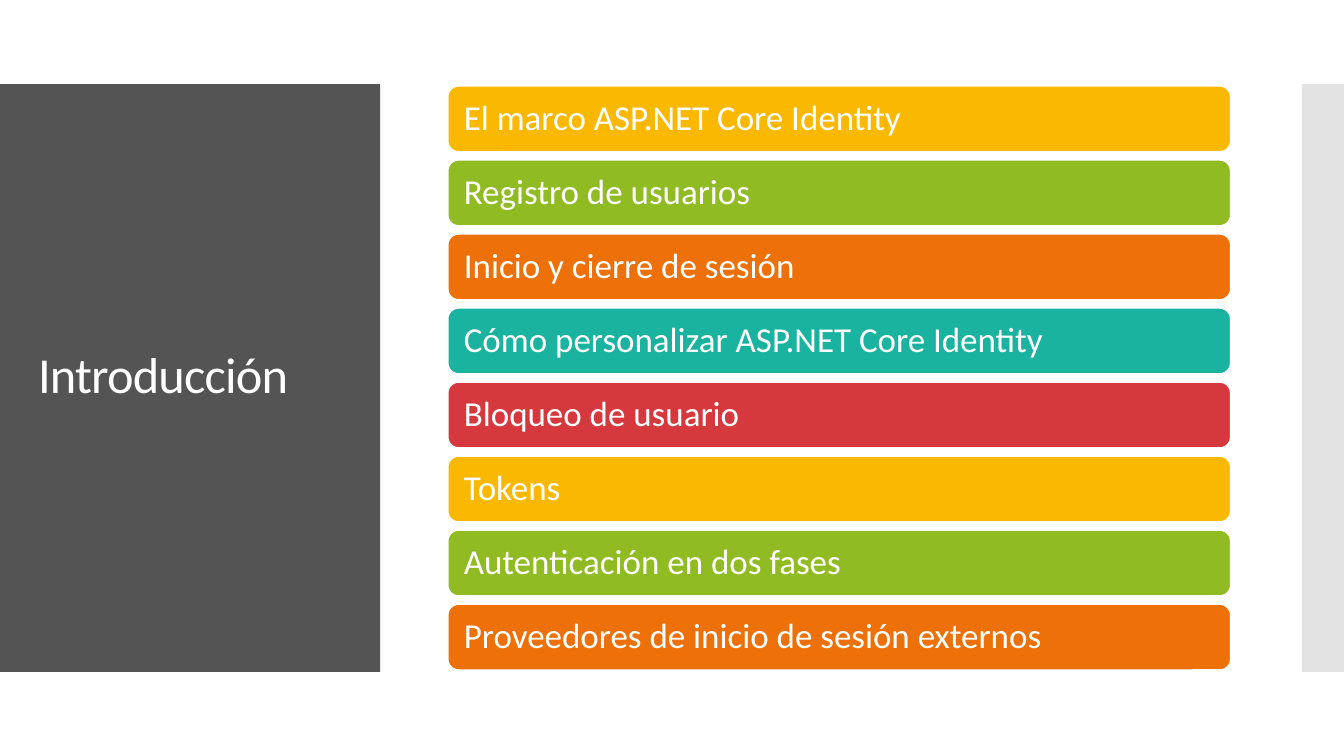
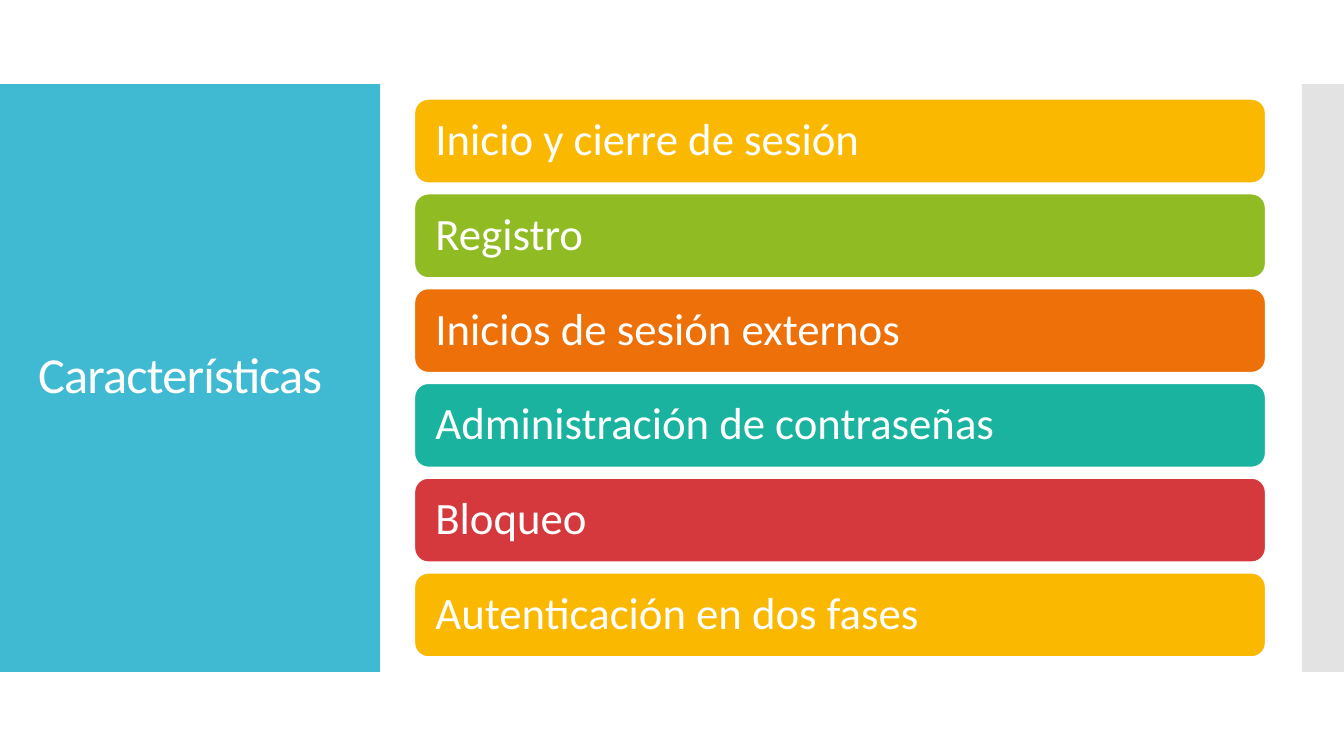
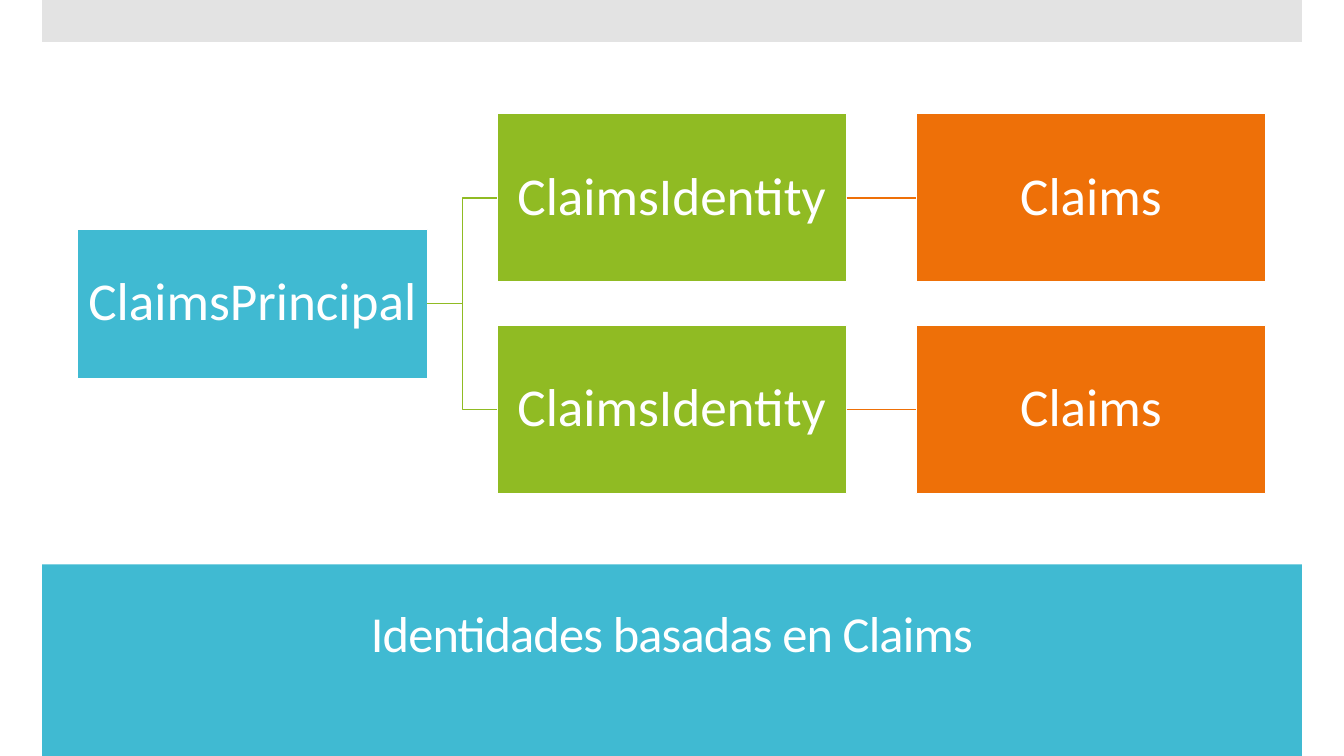
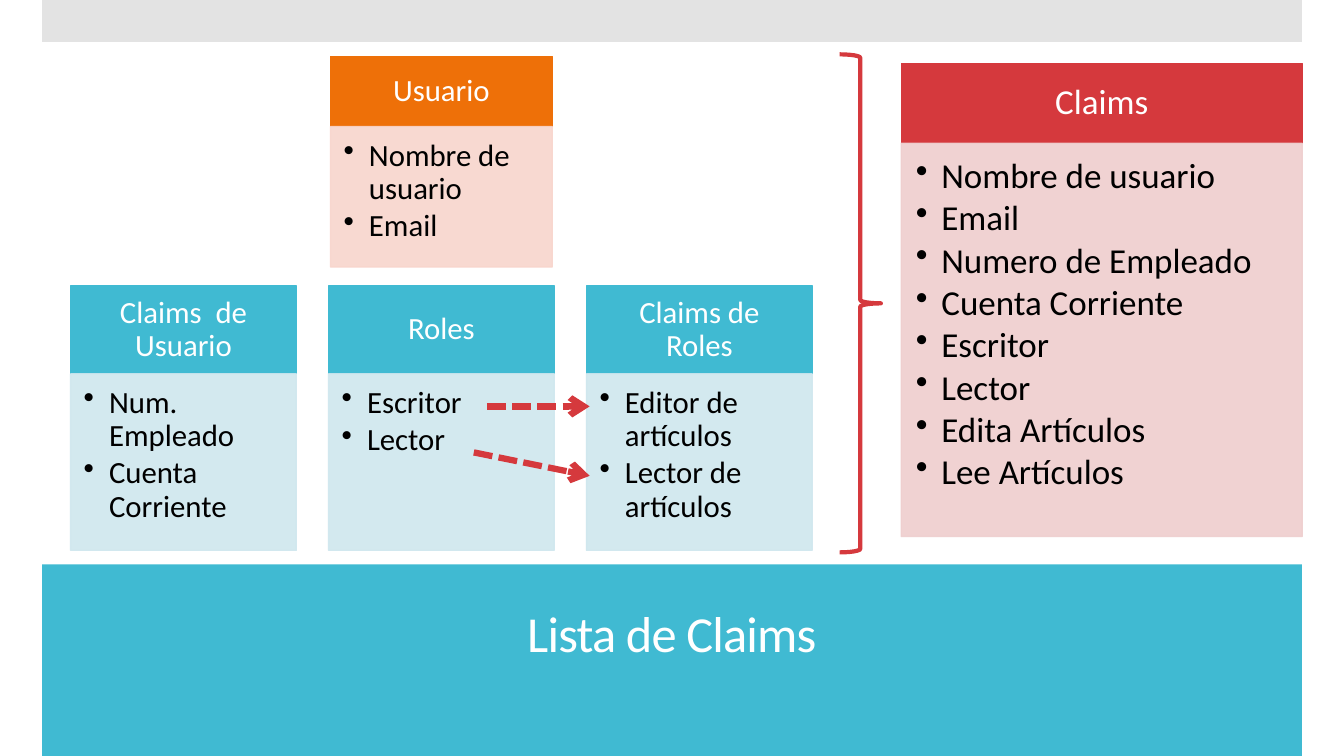
"""Build four slides about user identity: two topic lists and two claim diagrams."""
from dataclasses import dataclass

from lxml.etree import SubElement
from pptx import Presentation
from pptx.dml.color import RGBColor
from pptx.enum.dml import MSO_LINE
from pptx.enum.shapes import MSO_CONNECTOR, MSO_SHAPE
from pptx.enum.text import MSO_ANCHOR, MSO_AUTO_SIZE, PP_ALIGN
from pptx.oxml.ns import qn
from pptx.shapes.autoshape import Shape
from pptx.shapes.connector import Connector
from pptx.slide import Slide
from pptx.text.text import TextFrame
from pptx.util import Cm, Pt

RECT = MSO_SHAPE.RECTANGLE
ROUND = MSO_SHAPE.ROUNDED_RECTANGLE
BRACE = MSO_SHAPE.RIGHT_BRACE
LINE = MSO_CONNECTOR.STRAIGHT
ELBOW = MSO_CONNECTOR.ELBOW
DASH = MSO_LINE.SQUARE_DOT
LEFT, MID = PP_ALIGN.LEFT, PP_ALIGN.CENTER
TOP, CORE = MSO_ANCHOR.TOP, MSO_ANCHOR.MIDDLE
FIXED = MSO_AUTO_SIZE.NONE
ON_LEFT, ON_RIGHT = 1, 3

FONT = "Calibri"
WIDE, HIGH = 33.87, 19.05
HEX = {
    "white": "FFFFFF", "black": "000000", "dark": "545454", "gray": "C8C8C8",
    "blue": "40BAD2", "gold": "FAB900", "green": "90BB23", "orange": "EE7008",
    "teal": "1AB39F", "red": "D5393D",
    "pale blue": "CFE7EE", "pale orange": "F8D5CC", "pale red": "EFCECE",
}
CYCLE = ("gold", "green", "orange", "teal", "red")


@dataclass(frozen=True)
class Box:
    x: float
    y: float
    w: float
    h: float


@dataclass(frozen=True)
class Frame:
    band: Box
    edge: Box
    title: Box
    align: PP_ALIGN


@dataclass(frozen=True)
class Stack:
    area: Box
    bar: float
    size: int
    pad: float
    items: tuple[str, ...]


@dataclass(frozen=True)
class Card:
    area: Box
    head: float
    name: str
    items: tuple[str, ...]
    hue: str
    size: int = 22


SIDE = Frame(Box(0, 2.12, 9.58, 14.81), Box(32.81, 2.12, 1.06, 14.81),
             Box(0.71, 3.12, 8.18, 12.78), LEFT)
BASE = Frame(Box(1.06, 14.22, 31.75, 4.83), Box(1.06, 0, 31.75, 1.06),
             Box(1.78, 14.6, 30.3, 2.84), MID)

TOPICS = Stack(Box(11.28, 2.16, 19.74, 14.73), 1.67, 25, 0.33, (
    "El marco ASP.NET Core Identity", "Registro de usuarios",
    "Inicio y cierre de sesión", "Cómo personalizar ASP.NET Core Identity",
    "Bloqueo de usuario", "Tokens", "Autenticación en dos fases",
    "Proveedores de inicio de sesión externos"))
TRAITS = Stack(Box(10.44, 2.49, 21.46, 14.07), 2.13, 32, 0.43, (
    "Inicio y cierre de sesión", "Registro", "Inicios de sesión externos",
    "Administración de contraseñas", "Bloqueo", "Autenticación en dos fases"))

TRIO = (
    ("Claims  de Usuario", ("Num. Empleado", "Cuenta Corriente")),
    ("Roles", ("Escritor", "Lector")),
    ("Claims de Roles", ("Editor de artículos", "Lector de artículos")),
)
CARDS = (
    Card(Box(8.33, 1.42, 5.59, 5.31), 1.77, "Usuario",
         ("Nombre de usuario", "Email"), "orange"),
    *(Card(Box(1.78 + 6.5 * i, 7.21, 5.69, 6.66), 2.21, name, items, "blue")
      for i, (name, items) in enumerate(TRIO)),
    Card(Box(22.71, 1.6, 10.11, 11.92), 2.01, "Claims", (
        "Nombre de usuario", "Email", "Numero de Empleado", "Cuenta Corriente",
        "Escritor", "Lector", "Edita Artículos", "Lee Artículos"), "red", 25),
)
ARROWS = ((12.27, 10.24, 14.86, 10.24), (11.94, 11.4, 14.86, 11.99))


def color(name: str) -> RGBColor:
    return RGBColor.from_string(HEX[name])


def shape(slide: Slide, kind: MSO_SHAPE, box: Box, fill: str = "", line: str = "",
          thick: float = 0.85, alpha: int = 100) -> Shape:
    item = slide.shapes.add_shape(kind, Cm(box.x), Cm(box.y), Cm(box.w), Cm(box.h))
    item.shadow.inherit = False
    if fill:
        item.fill.solid()
        item.fill.fore_color.rgb = color(fill)
    else:
        item.fill.background()
    if line:
        item.line.color.rgb = color(line)
        item.line.width = Pt(thick)
    else:
        item.line.fill.background()
    if alpha < 100:
        for node in item._element.spPr.iter(qn("a:srgbClr")):
            SubElement(node, qn("a:alpha"), val=str(alpha * 1000))
    return item


def write(frame: TextFrame, lines: tuple[str, ...], size: int, hue: str = "white",
          align: PP_ALIGN = MID, anchor: MSO_ANCHOR = CORE,
          pads: tuple[float, ...] = (0.25, 0.13, 0.25, 0.13),
          dots: bool = False, track: int = 0) -> None:
    frame.word_wrap = True
    frame.auto_size = FIXED
    frame.vertical_anchor = anchor
    (frame.margin_left, frame.margin_top,
     frame.margin_right, frame.margin_bottom) = map(Cm, pads)
    for i, line in enumerate(lines):
        para = frame.add_paragraph() if i else frame.paragraphs[0]
        para.alignment = align
        para.line_spacing = 0.9
        if dots:
            para.space_after = Pt(0.13 * size)
            props = para._p.get_or_add_pPr()
            props.set("marL", str(Cm(0.64)))
            props.set("indent", str(Cm(-0.64)))
            SubElement(props, qn("a:buChar"), char="•")
        run = para.add_run()
        run.text = line
        run.font.name = FONT
        run.font.size = Pt(size)
        run.font.color.rgb = color(hue)
        if track:
            run._r.get_or_add_rPr().set("spc", str(track))


def start(deck: Presentation, frame: Frame, name: str, hue: str = "blue") -> Slide:
    slide = deck.slides.add_slide(deck.slide_layouts.get_by_name("Title Only"))
    shape(slide, RECT, frame.band, hue)
    shape(slide, RECT, frame.edge, "gray", alpha=50)
    title, box = slide.shapes.title, frame.title
    title.left, title.top = Cm(box.x), Cm(box.y)
    title.width, title.height = Cm(box.w), Cm(box.h)
    write(title.text_frame, (name,), 36, align=frame.align, track=-60)
    slide.shapes._spTree.append(title._element)
    return slide


def stack(slide: Slide, data: Stack) -> None:
    area = data.area
    step = (area.h - data.bar) / (len(data.items) - 1)
    for i, item in enumerate(data.items):
        box = Box(area.x, area.y + i * step, area.w, data.bar)
        bar = shape(slide, ROUND, box, CYCLE[i % len(CYCLE)], "white", 1.35)
        write(bar.text_frame, (item,), data.size, align=LEFT, pads=(data.pad,) * 4)


def link(slide: Slide, kind: MSO_CONNECTOR, ends: tuple[float, ...],
         hue: str, thick: float) -> Connector:
    wire = slide.shapes.add_connector(kind, *map(Cm, ends))
    wire.line.color.rgb = color(hue)
    wire.line.width = Pt(thick)
    SubElement(wire._element.spPr, qn("a:effectLst"))
    return wire


def join(slide: Slide, kind: MSO_CONNECTOR, one: Shape, two: Shape, hue: str) -> None:
    wire = link(slide, kind, (0, 0, 0, 0), hue, 0.85)
    wire.begin_connect(one, ON_RIGHT)
    wire.end_connect(two, ON_LEFT)


def node(slide: Slide, col: int, mid: float, high: float, name: str, hue: str) -> Shape:
    box = Box(1.96 + 10.565 * col, mid - high / 2, 8.81, high)
    item = shape(slide, RECT, box, hue, "white")
    write(item.text_frame, (name,), 38, pads=(0.08,) * 4)
    return item


def tree(slide: Slide) -> None:
    rows = (4.99, 10.32)
    root = node(slide, 0, sum(rows) / 2, 3.76, "ClaimsPrincipal", "blue")
    for mid in rows:
        part = node(slide, 1, mid, 4.24, "ClaimsIdentity", "green")
        leaf = node(slide, 2, mid, 4.24, "Claims", "orange")
        join(slide, ELBOW, root, part, "green")
        join(slide, LINE, part, leaf, "orange")


def card(slide: Slide, data: Card) -> None:
    area, size = data.area, data.size
    top = Box(area.x, area.y, area.w, data.head)
    low = Box(area.x, area.y + data.head, area.w, area.h - data.head)
    pale = f"pale {data.hue}"
    near, far, foot = 0.015 * size, 0.02 * size, 0.022 * size
    head = shape(slide, RECT, top, data.hue, data.hue)
    write(head.text_frame, (data.name,), size, pads=(far, foot / 2, far, foot / 2))
    body = shape(slide, RECT, low, pale, pale, alpha=90)
    write(body.text_frame, data.items, size, "black", LEFT, TOP,
          (near, near, far, foot), dots=True)


def arrow(slide: Slide, ends: tuple[float, ...]) -> None:
    wire = link(slide, LINE, ends, "red", 4.5)
    wire.line.dash_style = DASH
    SubElement(wire._element.spPr.find(qn("a:ln")), qn("a:tailEnd"), type="arrow")


def main() -> None:
    deck = Presentation()
    deck.slide_width, deck.slide_height = Cm(WIDE), Cm(HIGH)
    stack(start(deck, SIDE, "Introducción", "dark"), TOPICS)
    stack(start(deck, SIDE, "Características"), TRAITS)
    tree(start(deck, BASE, "Identidades basadas en Claims"))
    last = start(deck, BASE, "Lista de Claims")
    for data in CARDS:
        card(last, data)
    shape(last, BRACE, Box(21.16, 1.37, 1.04, 12.55), line="red", thick=3)
    for ends in ARROWS:
        arrow(last, ends)
    deck.save("out.pptx")


if __name__ == "__main__":
    main()
